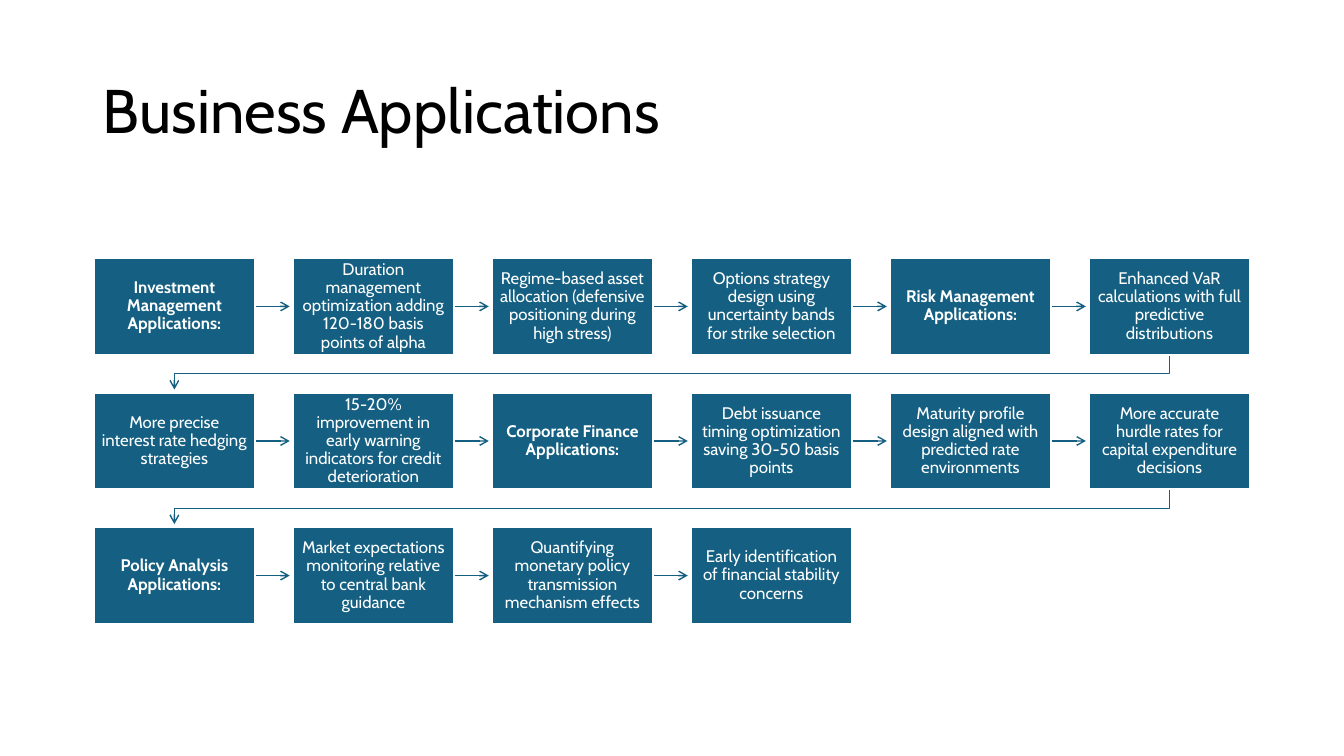
from dataclasses import dataclass

from lxml import etree
from pptx import Presentation
from pptx import util as u
from pptx.dml.color import RGBColor
from pptx.enum import shapes, text
from pptx.oxml.ns import qn


@dataclass(frozen=True)
class Theme:
    font: str = "Cabin"
    title_size: u.Pt = u.Pt(44)
    step_size: u.Pt = u.Pt(12)
    ink: RGBColor = RGBColor(0, 0, 0)
    paper: RGBColor = RGBColor(255, 255, 255)
    teal: RGBColor = RGBColor(0x15, 0x60, 0x82)


theme = Theme()

COLUMNS, ROWS = 6, 3
LEFT, TOP, RIGHT, BOTTOM = 0.93, 2.56, 12.4, 6.19
BOX_WIDTH, BOX_HEIGHT = 1.6, 0.96
COLUMN_PITCH = (RIGHT - LEFT - BOX_WIDTH) / (COLUMNS - 1)
ROW_PITCH = (BOTTOM - TOP - BOX_HEIGHT) / (ROWS - 1)
ARROW_GAP = 0.03

# Steps ending in a colon are section headings
steps = [
    "Investment Management Applications:",
    "Duration management optimization adding 120-180 basis points of alpha",
    "Regime-based asset allocation (defensive positioning during high stress)",
    "Options strategy design using uncertainty bands for strike selection",
    "Risk Management Applications:",
    "Enhanced VaR calculations with full predictive distributions",
    "More precise interest rate hedging strategies",
    "15-20% improvement in early warning indicators for credit deterioration",
    "Corporate Finance Applications:",
    "Debt issuance timing optimization saving 30-50 basis points",
    "Maturity profile design aligned with predicted rate environments",
    "More accurate hurdle rates for capital expenditure decisions",
    "Policy Analysis Applications:",
    "Market expectations monitoring relative to central bank guidance",
    "Quantifying monetary policy transmission mechanism effects",
    "Early identification of financial stability concerns",
]


def write_text(shape, wording, size, color, alignment, bold=False):
    frame = shape.text_frame
    frame.text = wording
    frame.word_wrap = True
    frame.auto_size = text.MSO_AUTO_SIZE.NONE
    frame.vertical_anchor = text.MSO_ANCHOR.MIDDLE
    paragraph = frame.paragraphs[0]
    paragraph.alignment = alignment
    paragraph.line_spacing = 0.9
    font = paragraph.runs[0].font
    font.name, font.size, font.bold = theme.font, size, bold
    font.color.rgb = color


def style_arrow(line_shape):
    """Give a line the flow colour, an open arrowhead and no shadow."""
    line_shape.line.color.rgb = theme.teal
    line_shape.line.width = u.Pt(1)
    properties = line_shape.element.spPr
    etree.SubElement(properties.find(qn("a:ln")), qn("a:tailEnd"), type="arrow")
    etree.SubElement(properties, qn("a:effectLst"))


presentation = Presentation()
presentation.slide_width = u.Inches(13.33)
presentation.slide_height = u.Inches(7.5)
slide = presentation.slides.add_slide(presentation.slide_layouts[5])

title = slide.shapes.title
title.left, title.top = u.Inches(0.92), u.Inches(0.4)
title.width, title.height = u.Inches(11.5), u.Inches(1.45)
write_text(title, "Business Applications", theme.title_size, theme.ink, text.PP_ALIGN.LEFT)

for index, step in enumerate(steps):
    row, column = divmod(index, COLUMNS)
    left, top = LEFT + column * COLUMN_PITCH, TOP + row * ROW_PITCH
    right, bottom = left + BOX_WIDTH, top + BOX_HEIGHT
    is_last = index == len(steps) - 1
    ends_row = column == COLUMNS - 1
    arrow = None

    # Arrows go in before their box, so the box's white outline trims their start
    if ends_row and not is_last:
        start_x, end_x = left + BOX_WIDTH / 2, LEFT + BOX_WIDTH / 2
        next_top = top + ROW_PITCH
        turn_y = (bottom + next_top) / 2
        builder = slide.shapes.build_freeform(
            u.Inches(start_x), u.Inches(bottom), scale=1.0)
        corners = [(start_x, turn_y), (end_x, turn_y), (end_x, next_top - ARROW_GAP)]
        builder.add_line_segments(
            [(u.Inches(x), u.Inches(y)) for x, y in corners], close=False)
        row_return = builder.convert_to_shape()
        row_return.fill.background()
        style_arrow(row_return)
    elif not is_last:
        middle = u.Inches(top + BOX_HEIGHT / 2)
        arrow = slide.shapes.add_connector(
            shapes.MSO_CONNECTOR.STRAIGHT, u.Inches(right), middle,
            u.Inches(left + COLUMN_PITCH - ARROW_GAP), middle)
        style_arrow(arrow)

    box = slide.shapes.add_shape(
        shapes.MSO_SHAPE.RECTANGLE, u.Inches(left), u.Inches(top),
        u.Inches(BOX_WIDTH), u.Inches(BOX_HEIGHT))
    box.shadow.inherit = False
    box.fill.solid()
    box.fill.fore_color.rgb = theme.teal
    box.line.color.rgb = theme.paper
    box.line.width = u.Pt(1.5)
    frame = box.text_frame
    frame.margin_left = frame.margin_right = u.Inches(0.08)
    frame.margin_top = frame.margin_bottom = u.Inches(0.08)
    write_text(box, step, theme.step_size, theme.paper, text.PP_ALIGN.CENTER,
               bold=step.endswith(":"))
    if arrow is not None:
        arrow.begin_connect(box, 3)

presentation.save("out.pptx")
